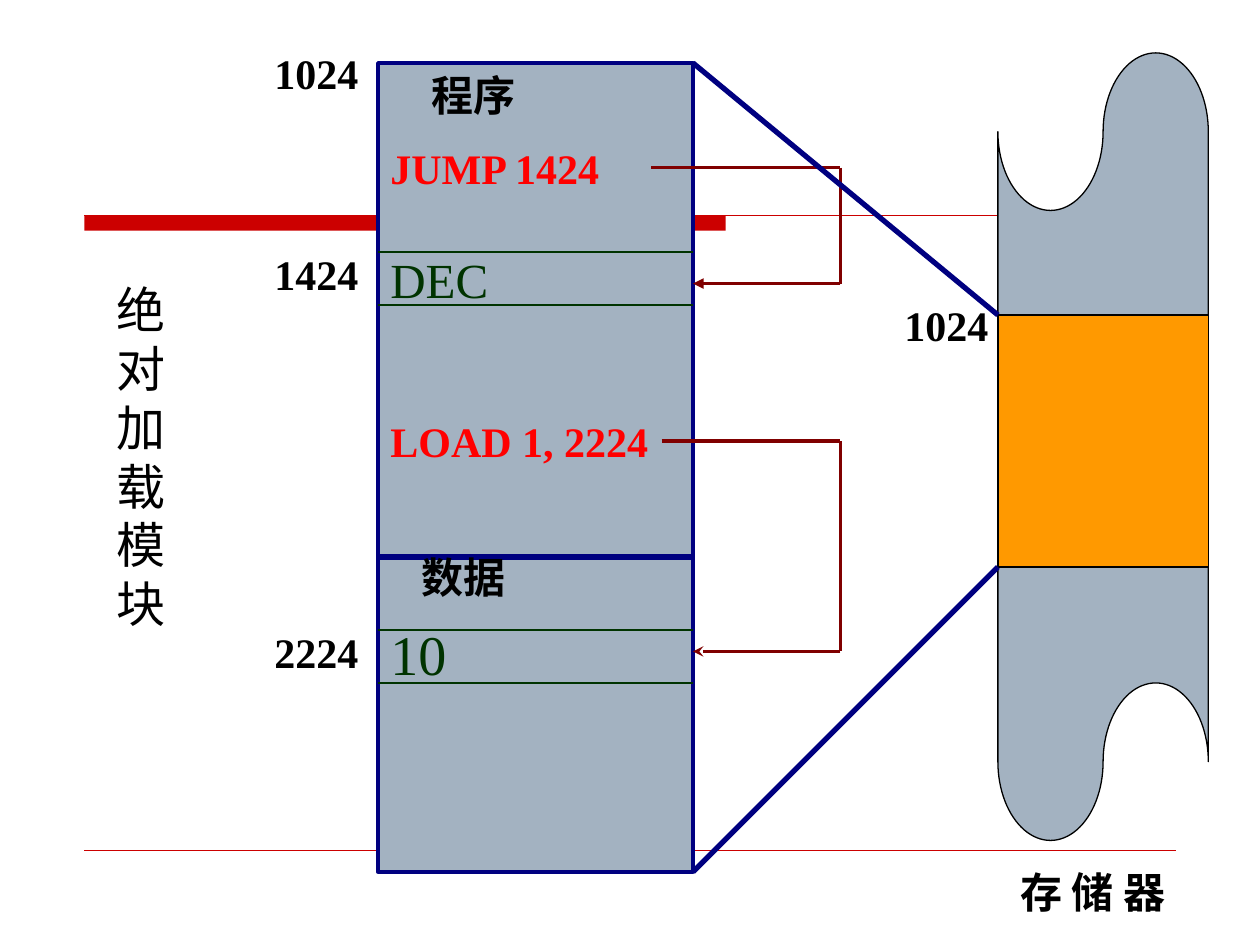
from pptx import Presentation
from pptx.dml.color import RGBColor
from pptx.enum.shapes import MSO_CONNECTOR, MSO_SHAPE
from pptx.oxml.ns import qn
from pptx.util import Inches, Pt
from lxml import etree

STRAIGHT = MSO_CONNECTOR.STRAIGHT
RECTANGLE = MSO_SHAPE.RECTANGLE
TAPE = MSO_SHAPE.FLOWCHART_PUNCHED_TAPE
FONT = "Times New Roman"
RED, NAVY, MAROON, GREEN = "CC0000", "000080", "800000", "003300"
GREY, ORANGE, BLACK, BRIGHT_RED = "A3B2C1", "FF9900", "000000", "FF0000"


def color(value):
    return RGBColor.from_string(value)


def add_block(page, kind, box, fill, line=None, weight=0.75):
    shape = page.shapes.add_shape(kind, *map(Inches, box))
    shape.shadow.inherit = False
    shape.fill.solid()
    shape.fill.fore_color.rgb = color(fill)
    if line:
        shape.line.color.rgb = color(line)
        shape.line.width = Pt(weight)
    else:
        shape.line.fill.background()


def add_line(page, start, end, line, weight, arrow=None):
    connector = page.shapes.add_connector(STRAIGHT, *map(Inches, (*start, *end)))
    connector.line.color.rgb = color(line)
    connector.line.width = Pt(weight)
    if arrow:
        etree.SubElement(connector.line._get_or_add_ln(), qn("a:tailEnd"), type=arrow)
    etree.SubElement(connector._element.spPr, qn("a:effectLst"))


def add_label(page, text, box, size=24, ink=BLACK, bold=True):
    label = page.shapes.add_textbox(*map(Inches, box))
    frame = label.text_frame
    frame.word_wrap = True
    span = frame.paragraphs[0].add_run()
    span.text = text
    span.font.name = FONT
    span.font.size = Pt(size)
    span.font.bold = bold
    span.font.color.rgb = color(ink)


def add_rules(page, left, top, width):
    add_block(page, RECTANGLE, (left, top, 5.09, 0.12), RED)
    add_line(page, (left, top), (left + width, top), RED, 0.75)
    add_line(page, (left, 6.75), (9.33, 6.75), RED, 0.25)


def add_module(page, left, top, width, height):
    right = left + width
    add_block(page, RECTANGLE, (left, top, width, height), GREY, NAVY, 2)
    add_line(page, (left, 4.42), (right, 4.42), NAVY, 3)
    for y in (2, 2.42, 5, 5.42):
        add_line(page, (left, y), (right, y), GREEN, 1.5)

    for address, y in (("1024", 0.33), ("1424", 1.92), ("2224", 4.92)):
        add_label(page, address, (left - 0.92, y, 1, 0.5))
    add_label(page, "绝对加载模块", (0.83, 2.17, 0.67, 2.9), 28, bold=False)

    add_label(page, "程序", (left + 0.33, top, 1.42, 0.5))
    add_label(page, "数据", (left + 0.25, 4.33, 1.42, 0.5))
    add_label(page, "JUMP 1424", (left, 1.08, 2, 0.5), ink=BRIGHT_RED)
    add_label(page, "LOAD 1, 2224", (left, 3.25, 2.25, 0.5), ink=BRIGHT_RED)
    add_label(page, "DEC", (left, 1.93, 1.58, 0.57), 28, GREEN, False)
    add_label(page, "10", (left, 4.87, 0.75, 0.64), 32, GREEN, False)


def add_reference(page, start, target, bend, arrow):
    corners = [start, (bend, start[1]), (bend, target[1]), target]
    for begin, end in zip(corners, corners[1:]):
        add_line(page, begin, end, MAROON, 2, arrow if end == target else None)


def add_memory(page, left, top, width, height):
    add_block(page, TAPE, (left, top, width, height), GREY, BLACK)
    add_block(page, RECTANGLE, (left, 2.5, width, 2), ORANGE, BLACK)
    add_label(page, "1024", (left - 0.84, 2.33, 0.92, 0.5))
    add_label(page, "存 储 器", (left + 0.08, 6.83, 1.58, 0.5))


def main():
    deck = Presentation()
    deck.slide_width, deck.slide_height = Inches(10), Inches(7.5)
    page = deck.slides.add_slide(deck.slide_layouts[6])
    add_rules(page, 0.67, 1.71, 8.7)
    add_module(page, 3, 0.5, 2.5, 6.42)
    add_reference(page, (5.17, 1.33), (5.5, 2.25), 6.67, "triangle")
    add_reference(page, (5.25, 3.5), (5.5, 5.17), 6.67, "stealth")
    add_memory(page, 7.92, 0.42, 1.67, 6.25)
    add_line(page, (5.5, 0.5), (7.92, 2.5), NAVY, 3)
    add_line(page, (5.5, 6.92), (7.92, 4.5), NAVY, 3)
    deck.save("out.pptx")


if __name__ == "__main__":
    main()
